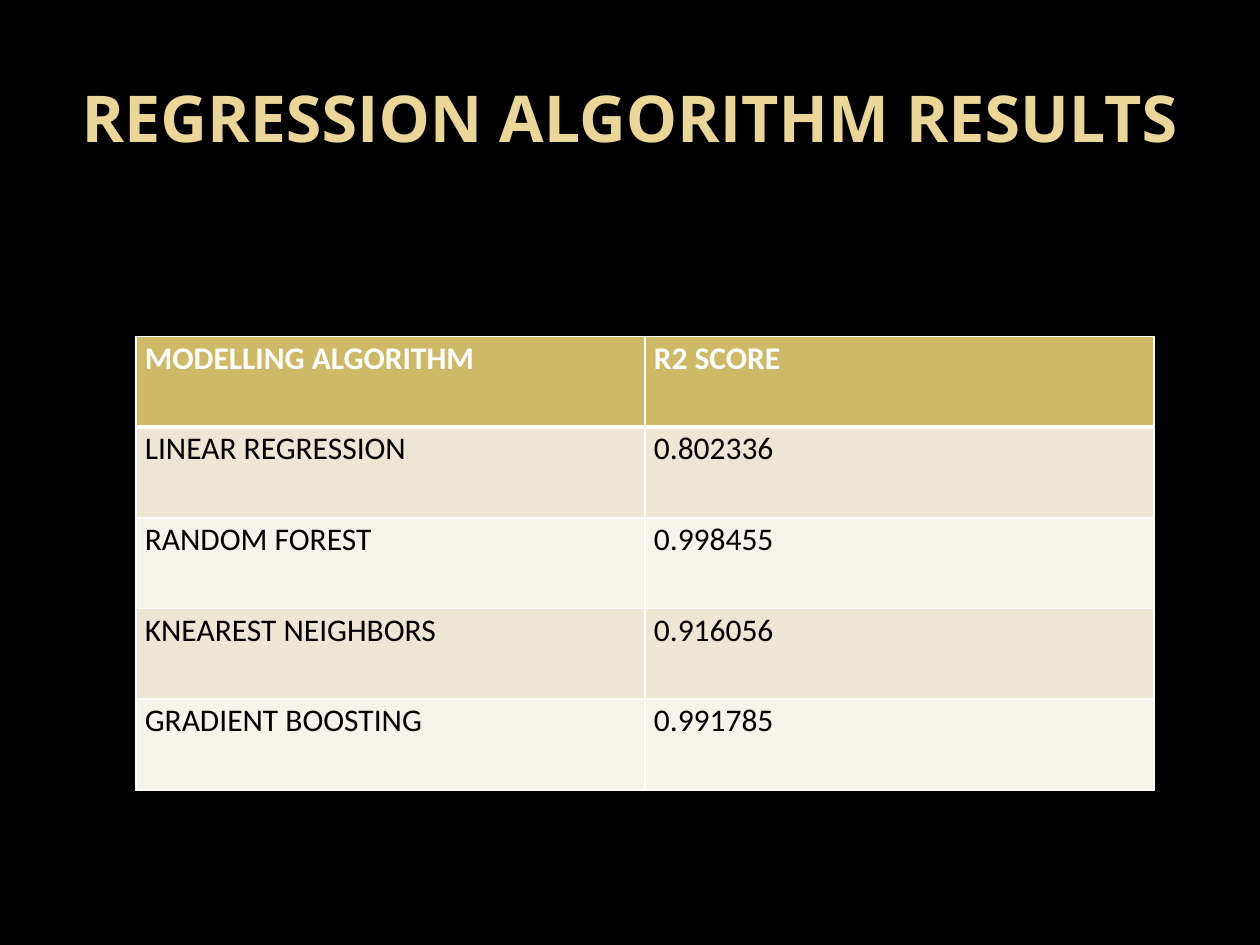
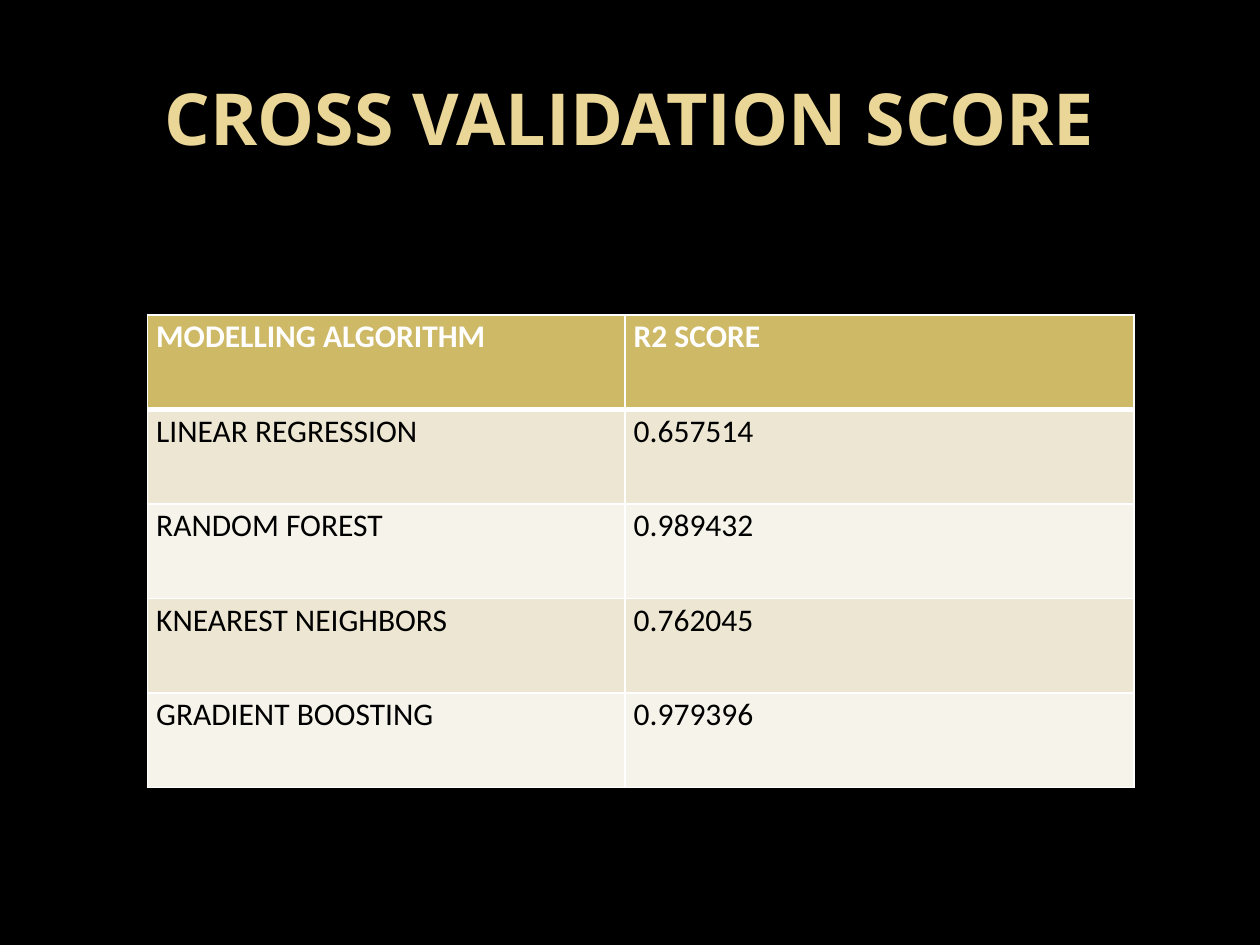
"""Build two slides that tabulate regression and cross-validation scores."""
from dataclasses import dataclass

from lxml import etree
from pptx import Presentation
from pptx import util as u
from pptx.dml.color import RGBColor
from pptx.enum import text
from pptx.oxml import ns

BLACK = RGBColor(0x00, 0x00, 0x00)
WHITE = RGBColor(0xFF, 0xFF, 0xFF)
TITLE_GOLD = RGBColor(0xEA, 0xD6, 0x96)
HEADER_GOLD = RGBColor(0xCE, 0xB9, 0x66)
BANDS = (RGBColor(0xF6, 0xF3, 0xEA), RGBColor(0xED, 0xE6, 0xD3))
TITLE_FONT = "Open Sans"
TABLE_FONT = "Calibri"
TITLE_ONLY = 5
THIN, THICK = 1, 3

HEADERS = ("MODELLING ALGORITHM", "R2 SCORE")
ALGORITHMS = ("LINEAR REGRESSION", "RANDOM FOREST", "KNEAREST NEIGHBORS", "GRADIENT BOOSTING")

TITLE_BOX = {
    "left": u.Inches(0.5),
    "top": u.Inches(0.3),
    "width": u.Inches(9),
    "height": u.Inches(1.25),
}
TITLE_FRAME = {
    "word_wrap": True,
    "auto_size": text.MSO_AUTO_SIZE.NONE,
    "vertical_anchor": text.MSO_ANCHOR.MIDDLE,
}
CELL_FORMAT = {
    "margin_left": u.Inches(0.07),
    "margin_right": u.Inches(0.07),
    "margin_top": u.Inches(0),
    "margin_bottom": u.Inches(0),
    "vertical_anchor": text.MSO_ANCHOR.TOP,
}


@dataclass(frozen=True)
class ScoreSlide:
    """A title with a table of one score per algorithm."""

    title: str
    title_size: float
    left: float
    top: float
    column_widths: tuple[float, float]
    row_height: float
    scores: tuple[str, ...]


SCORE_SLIDES = (
    ScoreSlide("REGRESSION ALGORITHM RESULTS", 36.9, 1.08, 2.67, (4.04, 4.04), 0.72,
               ("0.802336", "0.998455", "0.916056", "0.991785")),
    ScoreSlide("CROSS VALIDATION SCORE", 41, 1.17, 2.5, (3.79, 4.04), 0.75,
               ("0.657514", "0.989432", "0.762045", "0.979396")),
)


def apply_format(target, values: dict) -> None:
    """Set each named attribute on the target."""
    for name, value in values.items():
        setattr(target, name, value)


def style_span(span, font: str, size: float, bold: bool, color: RGBColor) -> None:
    """Give a run its typeface, size, weight and colour."""
    apply_format(span.font, {"name": font, "size": u.Pt(size), "bold": bold})
    span.font.color.rgb = color


def add_title(page, score_slide: ScoreSlide) -> None:
    """Place and format the title placeholder."""
    title = page.shapes.title
    apply_format(title, TITLE_BOX)
    apply_format(title.text_frame, TITLE_FRAME)
    para = title.text_frame.paragraphs[0]
    para.alignment = text.PP_ALIGN.CENTER
    span = para.add_run()
    span.text = score_slide.title
    style_span(span, TITLE_FONT, score_slide.title_size, True, TITLE_GOLD)


def add_borders(cell, top: int, bottom: int) -> None:
    """Draw white borders around a cell, with widths in points."""
    properties = cell._tc.get_or_add_tcPr()
    for side, width in (("L", THIN), ("R", THIN), ("T", top), ("B", bottom)):
        line = etree.SubElement(properties, ns.qn(f"a:ln{side}"), w=str(u.Pt(width)))
        fill = etree.SubElement(line, ns.qn("a:solidFill"))
        etree.SubElement(fill, ns.qn("a:srgbClr"), val=str(WHITE))


def fill_cell(cell, words: str, row_index: int) -> None:
    """Write and format one cell according to its row."""
    is_header = row_index == 0
    apply_format(cell, CELL_FORMAT)
    add_borders(cell, THICK if row_index == 1 else THIN, THICK if is_header else THIN)
    cell.fill.solid()
    cell.fill.fore_color.rgb = HEADER_GOLD if is_header else BANDS[row_index % 2]
    para = cell.text_frame.paragraphs[0]
    para.line_spacing = 1.07
    span = para.add_run()
    span.text = words
    style_span(span, TABLE_FONT, 18, is_header, WHITE if is_header else BLACK)


def add_score_table(page, score_slide: ScoreSlide) -> None:
    """Add the table of algorithms and scores."""
    rows = (HEADERS, *zip(ALGORITHMS, score_slide.scores))
    table = page.shapes.add_table(
        len(rows), len(HEADERS),
        u.Inches(score_slide.left), u.Inches(score_slide.top),
        u.Inches(sum(score_slide.column_widths)),
        u.Inches(score_slide.row_height * len(rows)),
    ).table
    for column, width in zip(table.columns, score_slide.column_widths):
        column.width = u.Inches(width)
    for row_index, row in enumerate(rows):
        table.rows[row_index].height = u.Inches(score_slide.row_height)
        for column_index, words in enumerate(row):
            fill_cell(table.cell(row_index, column_index), words, row_index)


def main() -> None:
    """Build and save the deck."""
    deck = Presentation()
    apply_format(deck, {"slide_width": u.Inches(10), "slide_height": u.Inches(7.5)})
    backdrop = deck.slide_master.background.fill
    backdrop.solid()
    backdrop.fore_color.rgb = BLACK
    for score_slide in SCORE_SLIDES:
        page = deck.slides.add_slide(deck.slide_layouts[TITLE_ONLY])
        add_title(page, score_slide)
        add_score_table(page, score_slide)
    deck.save("out.pptx")


if __name__ == "__main__":
    main()
